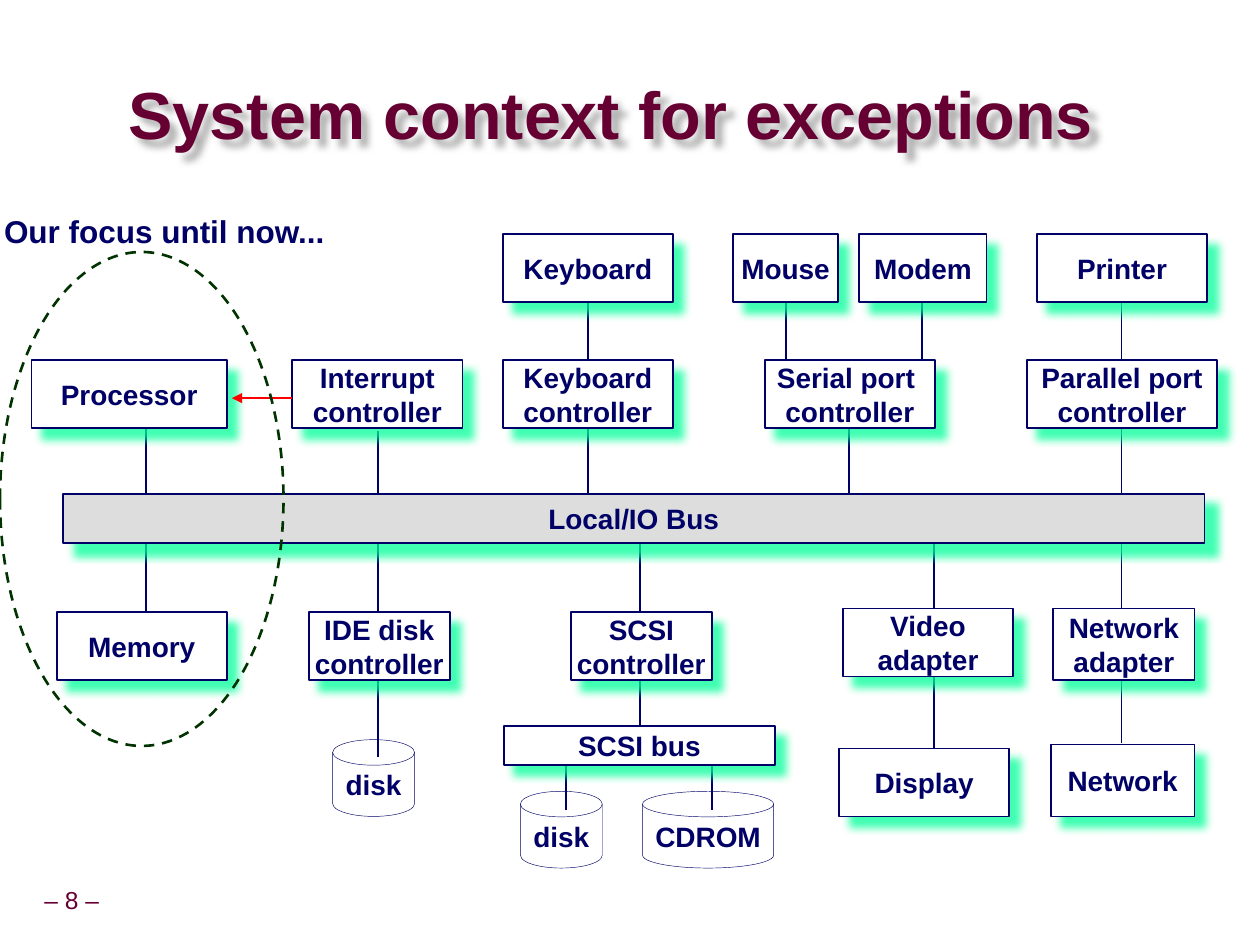
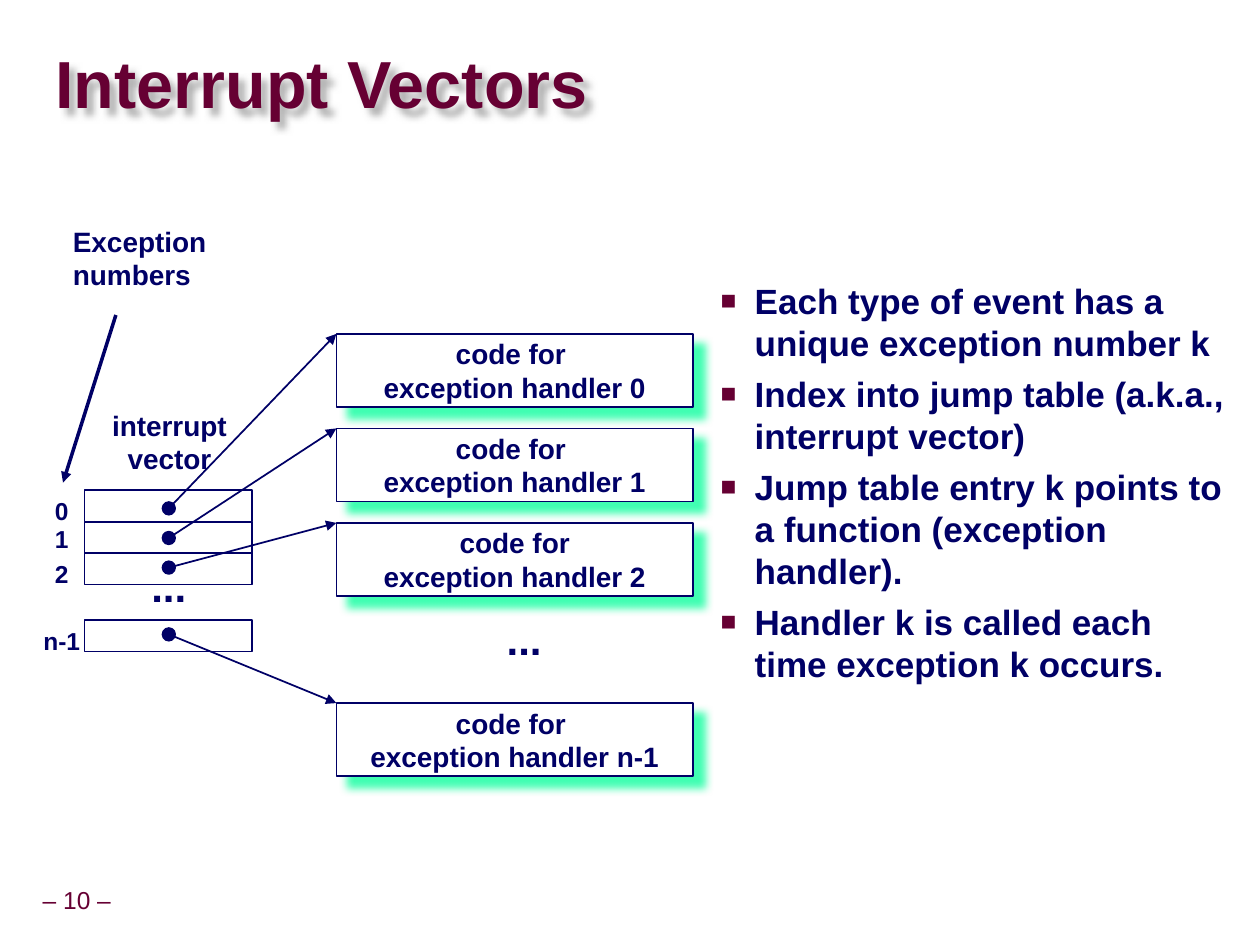
"""Build two lecture slides on exceptions: a system bus diagram and an interrupt vector."""
from dataclasses import dataclass
from typing import Any, NamedTuple, Optional

from lxml.etree import SubElement
from pptx import Presentation
from pptx.dml.color import RGBColor
from pptx.enum.dml import MSO_LINE
from pptx.enum.shapes import MSO_CONNECTOR, MSO_SHAPE
from pptx.enum.text import MSO_ANCHOR, MSO_AUTO_SIZE, PP_ALIGN
from pptx.oxml.ns import qn
from pptx.util import Inches, Pt

NAVY = RGBColor(0x00, 0x00, 0x66)
MAROON = RGBColor(0x66, 0x00, 0x33)
MINT = RGBColor(0x00, 0xFF, 0x99)
GREY = RGBColor(0xDD, 0xDD, 0xDD)
SHADE = RGBColor(0x80, 0x80, 0x80)
WHITE = RGBColor(0xFF, 0xFF, 0xFF)
RED = RGBColor(0xFF, 0x00, 0x00)
GREEN = RGBColor(0x00, 0x33, 0x00)

WIDTH, HEIGHT = Inches(10), Inches(7.5)
COLS, ROWS = 100, 75
LABEL = dict(name="Arial", size=Pt(16), bold=True)
CAPTION = LABEL | dict(size=Pt(18))
INDEX = LABEL | dict(size=Pt(14))
DOTS = LABEL | dict(size=Pt(24))
BULLET = LABEL | dict(size=Pt(20))
HEADING = LABEL | dict(size=Pt(38))
FOOTER = INDEX | dict(bold=False)
TIGHT = dict.fromkeys(("margin_left", "margin_right", "margin_top", "margin_bottom"), Inches(0.05))
FLUSH = dict.fromkeys(TIGHT, 0)
ROOMY = dict(margin_left=Inches(0.1), margin_right=Inches(0.1),
             margin_top=Inches(0.05), margin_bottom=Inches(0.05))


class Area(NamedTuple):
    """Column, row, columns wide and rows high on the slide grid."""
    col: float
    row: float
    cols: float
    rows: float


@dataclass
class Box:
    """A labelled shape."""
    text: str
    area: Area
    fill: Optional[RGBColor] = WHITE
    kind: MSO_SHAPE = MSO_SHAPE.RECTANGLE
    weight: float = 1
    shadow: bool = True


@dataclass
class Wire:
    """A straight line between two grid points."""
    x1: float
    y1: float
    x2: float
    y2: float
    color: RGBColor = NAVY
    weight: float = 1
    arrow: bool = False


def gx(col: float) -> int:
    """Return the horizontal length of grid columns."""
    return int(WIDTH * col / COLS)


def gy(row: float) -> int:
    """Return the vertical length of grid rows."""
    return int(HEIGHT * row / ROWS)


def place(area: Area) -> tuple:
    """Return left, top, width and height of an area."""
    return gx(area.col), gy(area.row), gx(area.cols), gy(area.rows)


def apply(obj: Any, fmt: dict) -> None:
    """Set each attribute of a format on an object."""
    for name, value in fmt.items():
        setattr(obj, name, value)


def write(tf, text: str, font: dict, color: RGBColor = NAVY, **para) -> None:
    """Write one formatted paragraph for each line of text."""
    for i, line in enumerate(text.split("\n")):
        p = tf.paragraphs[0] if i == 0 else tf.add_paragraph()
        apply(p, para)
        r = p.add_run()
        r.text = line
        apply(r.font, font)
        r.font.color.rgb = color


def add_shadow(sp, color: RGBColor, alpha: int, blur: float, dist: float) -> None:
    """Give a shape a soft shadow to the lower right."""
    sp.shadow.inherit = False
    effects = sp._element.spPr.find(qn("a:effectLst"))
    shadow = SubElement(effects, qn("a:outerShdw"), blurRad=str(Pt(blur)), dist=str(Pt(dist)),
                        dir=str(45 * 60000), algn="ctr", rotWithShape="0")
    clr = SubElement(shadow, qn("a:srgbClr"), val=str(color))
    SubElement(clr, qn("a:alpha"), val=str(alpha * 1000))


def add_box(slide, box: Box):
    """Draw a box with its centred label."""
    sp = slide.shapes.add_shape(box.kind, *place(box.area))
    sp.shadow.inherit = False
    if box.shadow:
        add_shadow(sp, MINT, 75, 5, 8.5)
    if box.fill is None:
        sp.fill.background()
    else:
        sp.fill.solid()
        sp.fill.fore_color.rgb = box.fill
    sp.line.color.rgb = NAVY
    sp.line.width = Pt(box.weight)
    if box.text:
        apply(sp.text_frame, ROOMY | dict(vertical_anchor=MSO_ANCHOR.MIDDLE, word_wrap=False))
        write(sp.text_frame, box.text, LABEL, alignment=PP_ALIGN.CENTER)
    return sp


def add_wire(slide, wire: Wire) -> None:
    """Draw a line, with an arrowhead at its end if asked."""
    c = slide.shapes.add_connector(MSO_CONNECTOR.STRAIGHT, gx(wire.x1), gy(wire.y1),
                                   gx(wire.x2), gy(wire.y2))
    c.line.color.rgb = wire.color
    c.line.width = Pt(wire.weight)
    if wire.arrow:
        SubElement(c.line._get_or_add_ln(), qn("a:tailEnd"), type="triangle")
    SubElement(c._element.spPr, qn("a:effectLst"))


def add_label(slide, text: str, area: Area, font: dict, color: RGBColor = NAVY,
              anchor=MSO_ANCHOR.TOP, frame: dict = ROOMY, **para) -> None:
    """Add an unwrapped text box."""
    tf = slide.shapes.add_textbox(*place(area)).text_frame
    apply(tf, frame | dict(vertical_anchor=anchor, word_wrap=False,
                           auto_size=MSO_AUTO_SIZE.SHAPE_TO_FIT_TEXT))
    write(tf, text, font, color, **({"alignment": PP_ALIGN.CENTER} | para))


def add_slide(prs, layout: int, title: str, area: Area, frame: dict, number: int):
    """Add a slide with its shadowed title and page number."""
    slide = prs.slides.add_slide(prs.slide_layouts[layout])
    sp = slide.shapes.title
    sp.left, sp.top, sp.width, sp.height = place(area)
    add_shadow(sp, SHADE, 60, 4, 5)
    apply(sp.text_frame, frame | dict(word_wrap=True, auto_size=MSO_AUTO_SIZE.NONE))
    write(sp.text_frame, title, HEADING, MAROON, alignment=PP_ALIGN.LEFT, line_spacing=0.87)
    add_label(slide, f"– {number} –", Area(2.4, 70, 6.6 if number < 10 else 7.4, 3.1), FOOTER,
              MAROON, MSO_ANCHOR.MIDDLE, TIGHT, line_spacing=0.9)
    return slide


def add_bullets(sp, area: Area, items: list) -> None:
    """Fill the body placeholder with square-bulleted items."""
    sp.left, sp.top, sp.width, sp.height = place(area)
    tf = sp.text_frame
    apply(tf, ROOMY | dict(word_wrap=True, auto_size=MSO_AUTO_SIZE.NONE,
                           vertical_anchor=MSO_ANCHOR.TOP))
    write(tf, "\n".join(items), BULLET, level=1, alignment=PP_ALIGN.LEFT)
    for p in tf.paragraphs:
        ppr = p._p.get_or_add_pPr()
        ppr.set("marL", str(Inches(0.81)))
        ppr.set("indent", str(Inches(-0.27)))
        SubElement(SubElement(ppr, qn("a:spcBef")), qn("a:spcPct"), val="25000")
        SubElement(SubElement(ppr, qn("a:buClr")), qn("a:srgbClr"), val=str(MAROON))
        SubElement(ppr, qn("a:buSzPct"), val="75000")
        SubElement(ppr, qn("a:buFont"), typeface="Arial")
        SubElement(ppr, qn("a:buChar"), char="■")


def build_context(prs) -> None:
    """Draw the devices and controllers around the bus."""
    slide = add_slide(prs, 5, "System context for exceptions", Area(9.2, 6.2, 83.3, 6.3),
                      ROOMY | dict(vertical_anchor=MSO_ANCHOR.TOP), 8)
    drops = [(73.2, 23.4, 33.2), (62.4, 22.5, 32.4), (89, 20.9, 30.7), (67.4, 32.5, 42.3),
             (89, 32.5, 42.3), (30, 34.2, 52.9), (50.8, 42.5, 57.9), (56.5, 59.1, 64.3),
             (44.9, 59.1, 64.3), (89, 41.7, 59), (74.1, 40, 59.5), (30, 53.3, 60.1),
             (11.6, 29.2, 50.8), (46.65, 21.7, 32.4), (46.65, 32.5, 41.7)]
    for x, top, bottom in drops:
        add_wire(slide, Wire(x, top, x, bottom))
    add_box(slide, Box("Local/IO Bus", Area(5, 39.2, 90.6, 3.9), GREY))

    tiers = {
        18.6: [("Keyboard", 39.9, 13.5), ("Mouse", 58.2, 8.3), ("Modem", 68.2, 10.1),
               ("Printer", 82.3, 13.5)],
        28.6: [("Processor", 2.5, 15.5), ("Interrupt\ncontroller", 23.2, 13.5),
               ("Keyboard\ncontroller", 39.9, 13.5), ("Serial port \ncontroller", 60.7, 13.5),
               ("Parallel port\ncontroller", 81.5, 15.1)],
        48.6: [("Memory", 4.5, 13.5), ("IDE disk\ncontroller", 24.5, 11.2),
               ("SCSI\ncontroller", 45.3, 11.2)],
        48.3: [("Video\nadapter", 66.9, 13.5)],
        59.4: [("Display", 66.6, 13.5)],
    }
    for row, boxes in tiers.items():
        for text, col, cols in boxes:
            add_box(slide, Box(text, Area(col, row, cols, 5.4)))
    for text, area in [("Network\nadapter", Area(83.6, 48.3, 11.2, 5.7)),
                       ("Network", Area(83.4, 59.1, 11.4, 5.7)),
                       ("SCSI bus", Area(40, 57.6, 21.5, 3.1))]:
        add_box(slide, Box(text, area))
    for text, col, row, cols in [("disk", 26.4, 58.7, 6.5), ("disk", 41.3, 62.8, 6.5),
                                 ("CDROM", 51, 62.8, 10.4)]:
        add_box(slide, Box(text, Area(col, row, cols, 6.1), None,
                           MSO_SHAPE.FLOWCHART_MAGNETIC_DISK, 0.25, False))

    add_wire(slide, Wire(23.2, 31.6, 18.4, 31.6, RED, arrow=True))
    focus = add_box(slide, Box("", Area(0, 20, 22.5, 39.2), None, MSO_SHAPE.OVAL, 1.5, False))
    focus.line.color.rgb = GREEN
    focus.line.dash_style = MSO_LINE.DASH
    add_label(slide, "Our focus until now...", Area(-0.8, 16.7, 27.7, 3.8), CAPTION,
              line_spacing=0.9)


def build_vectors(prs) -> None:
    """Draw the jump table, its handlers and the explanation."""
    slide = add_slide(prs, 1, "Interrupt Vectors", Area(4.4, 2.7, 95.3, 8.5),
                      FLUSH | dict(vertical_anchor=MSO_ANCHOR.MIDDLE), 10)
    add_bullets(slide.placeholders[1], Area(50.8, 21.7, 47.4, 28.3), [
        "Each type of event has a unique exception number k",
        "Index into jump table (a.k.a., interrupt vector)",
        "Jump table entry k points to a function (exception handler).",
        "Handler k is called each time exception k occurs. ",
    ])
    add_label(slide, "interrupt\nvector", Area(7.9, 31.9, 11.1, 6.3), LABEL)
    entries = [("0", 38.9, 40.35, 26.5, 38.9), ("1", 41.4, 42.7, 34, 41.1),
               ("2", 43.9, 45.05, 41.5, 43.9), ("n-1", 49.2, 50.35, 55.8, 49.2)]
    for _, cell, *_ in entries:
        add_box(slide, Box("", Area(6.7, cell, 13.3, 2.5), shadow=False))
    for name, _, dot, handler, label in entries:
        cols = 3.1 if len(name) == 1 else 4.9
        add_label(slide, name, Area(4.9 - cols / 2, label, cols, 3.3), INDEX,
                  anchor=MSO_ANCHOR.MIDDLE)
        lead = "code for" if name == "2" else "code for "
        add_box(slide, Box(f"{lead}\nexception handler {name}", Area(26.7, handler, 28.3, 5.8)))
        add_box(slide, Box("", Area(12.9, dot - 0.5, 1, 1), NAVY, MSO_SHAPE.OVAL, shadow=False))
        add_wire(slide, Wire(13.4, dot, 26.7, handler, arrow=True))
    for col, row in [(11, 44), (39.2, 48.2)]:
        add_label(slide, "...", Area(col, row, 4.8, 5), DOTS, anchor=MSO_ANCHOR.MIDDLE)
    add_label(slide, "Exception \nnumbers", Area(4.8, 17.3, 13.2, 6.4), LABEL,
              alignment=PP_ALIGN.LEFT)
    add_wire(slide, Wire(9.2, 25, 5, 38.3, weight=2, arrow=True))


def main() -> None:
    """Build and save the presentation."""
    prs = Presentation()
    prs.slide_width, prs.slide_height = WIDTH, HEIGHT
    build_context(prs)
    build_vectors(prs)
    prs.save("out.pptx")


main()
